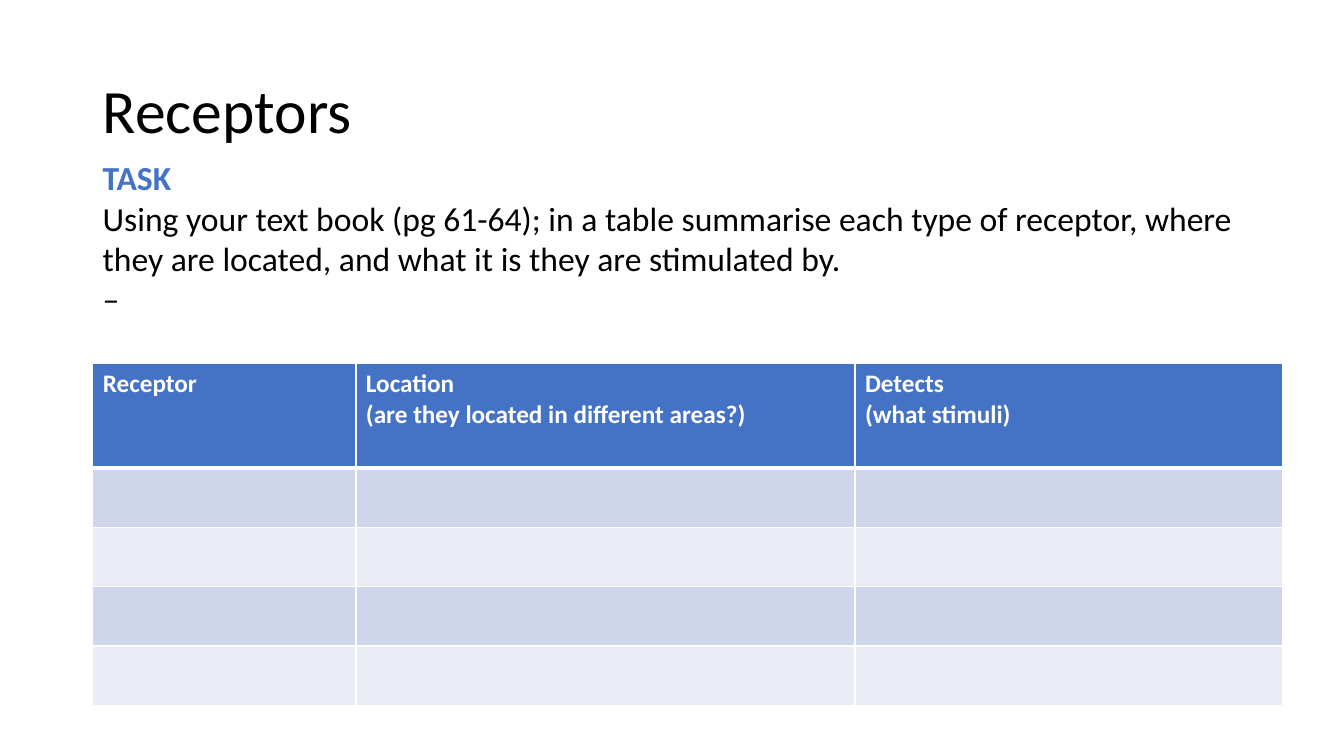
from pptx import Presentation
from pptx.dml.color import RGBColor
from pptx.enum.text import MSO_ANCHOR, MSO_AUTO_SIZE, PP_ALIGN
from pptx.oxml import parse_xml
from pptx.oxml.ns import nsdecls
from pptx.util import Inches, Pt

COLORS = {
    "text": "000000",
    "accent": "4472C4",
    "white": "FFFFFF",
    "band_dark": "CFD5EA",
    "band_light": "E9EBF5",
}


def write(paragraph, text, size=24, color="text", bold=False):
    for index, line in enumerate(text.split("\n")):
        if index:
            paragraph.add_line_break()
        if line:
            run = paragraph.add_run()
            run.text = line
            run.font.name = "Calibri"
            run.font.size = Pt(size)
            run.font.bold = bold
            run.font.color.rgb = RGBColor.from_string(COLORS[color])


presentation = Presentation()
presentation.slide_width = Inches(13.33)
presentation.slide_height = Inches(7.5)
slide = presentation.slides.add_slide(presentation.slide_layouts[5])

heading = slide.shapes.title
heading.left, heading.top = Inches(0.92), Inches(0.4)
heading.width, heading.height = Inches(11.5), Inches(1.45)
heading.text_frame.vertical_anchor = MSO_ANCHOR.MIDDLE
heading.text_frame.auto_size = MSO_AUTO_SIZE.NONE
heading_line = heading.text_frame.paragraphs[0]
heading_line.alignment = PP_ALIGN.LEFT
heading_line.line_spacing = 0.9
write(heading_line, "Receptors", size=44)

column_widths = [2.61, 4.95, 4.24]
row_heights = [1.03] + [0.59] * 4
receptors = slide.shapes.add_table(
    len(row_heights), len(column_widths),
    Inches(0.92), Inches(3.61), Inches(sum(column_widths)), Inches(sum(row_heights)),
).table
for column, width in zip(receptors.columns, column_widths):
    column.width = Inches(width)
for row, height in zip(receptors.rows, row_heights):
    row.height = Inches(height)

headers = [
    "Receptor",
    "Location\n(are they located in different areas?)",
    "Detects\n(what stimuli)",
]
for cell, header in zip(receptors.rows[0].cells, headers):
    write(cell.text_frame.paragraphs[0], header, size=18, color="white", bold=True)

for row_index, row in enumerate(receptors.rows):
    band = "accent" if row_index == 0 else "band_dark" if row_index % 2 else "band_light"
    for cell in row.cells:
        cell.fill.solid()
        cell.fill.fore_color.rgb = RGBColor.from_string(COLORS[band])
        properties = cell._tc.get_or_add_tcPr()
        for position, side in enumerate(["L", "R", "T", "B"]):
            header_rule = (row_index, side) in [(0, "B"), (1, "T")]
            properties.insert(position, parse_xml(
                f'<a:ln{side} {nsdecls("a")} w="{Pt(3 if header_rule else 1)}"><a:solidFill>'
                f'<a:srgbClr val="{COLORS["white"]}"/></a:solidFill></a:ln{side}>'
            ))

task = slide.shapes.add_textbox(Inches(0.92), Inches(1.51), Inches(11.5), Inches(1.72))
task.text_frame.word_wrap = True
task.text_frame.auto_size = MSO_AUTO_SIZE.SHAPE_TO_FIT_TEXT
task_text = task.text_frame.paragraphs[0]
write(task_text, "TASK\n", color="accent", bold=True)
write(
    task_text,
    "Using your text book (pg 61-64); in a table summarise each type of receptor, "
    "where they are located, and what it is they are stimulated by.\n–",
)

presentation.save("out.pptx")
